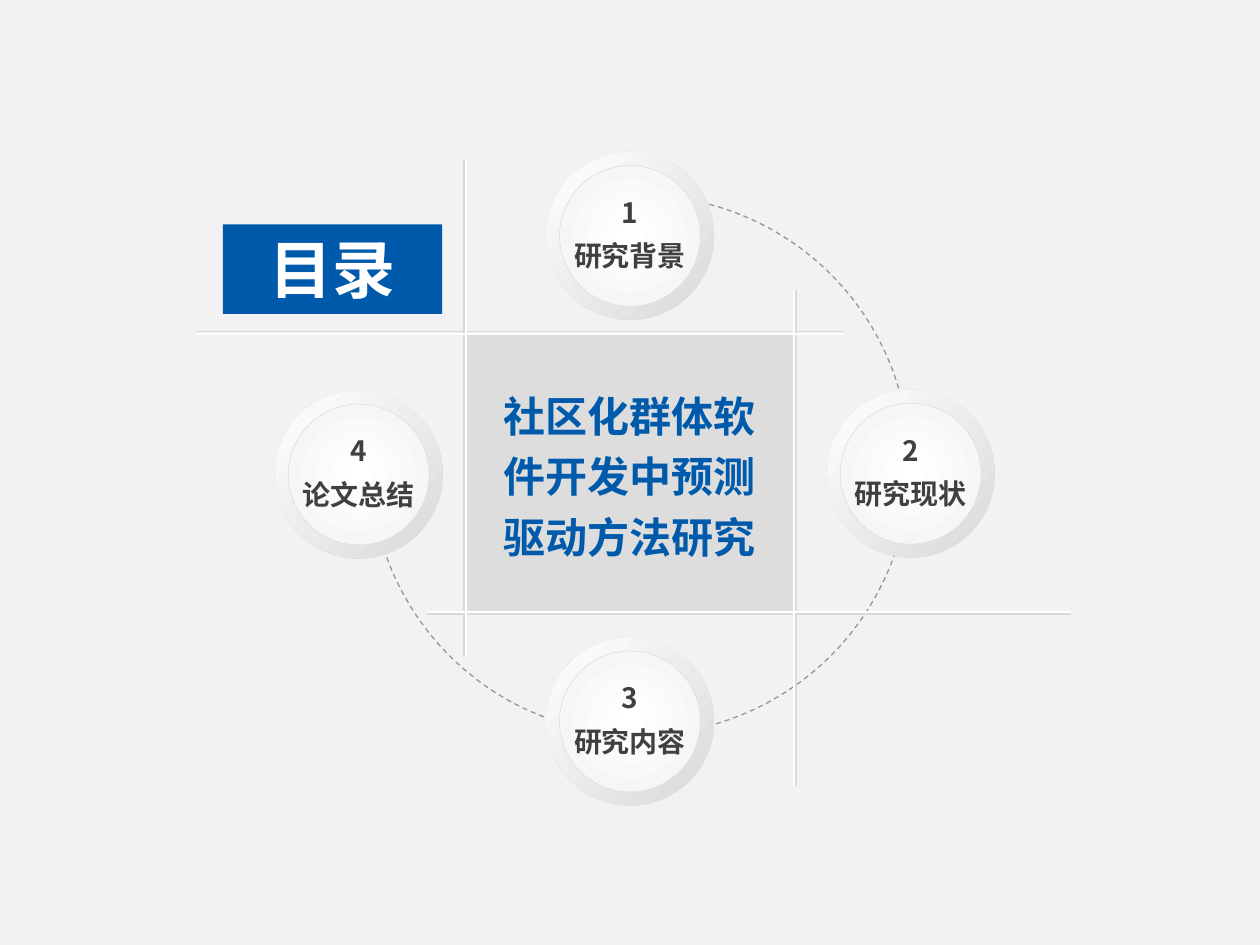
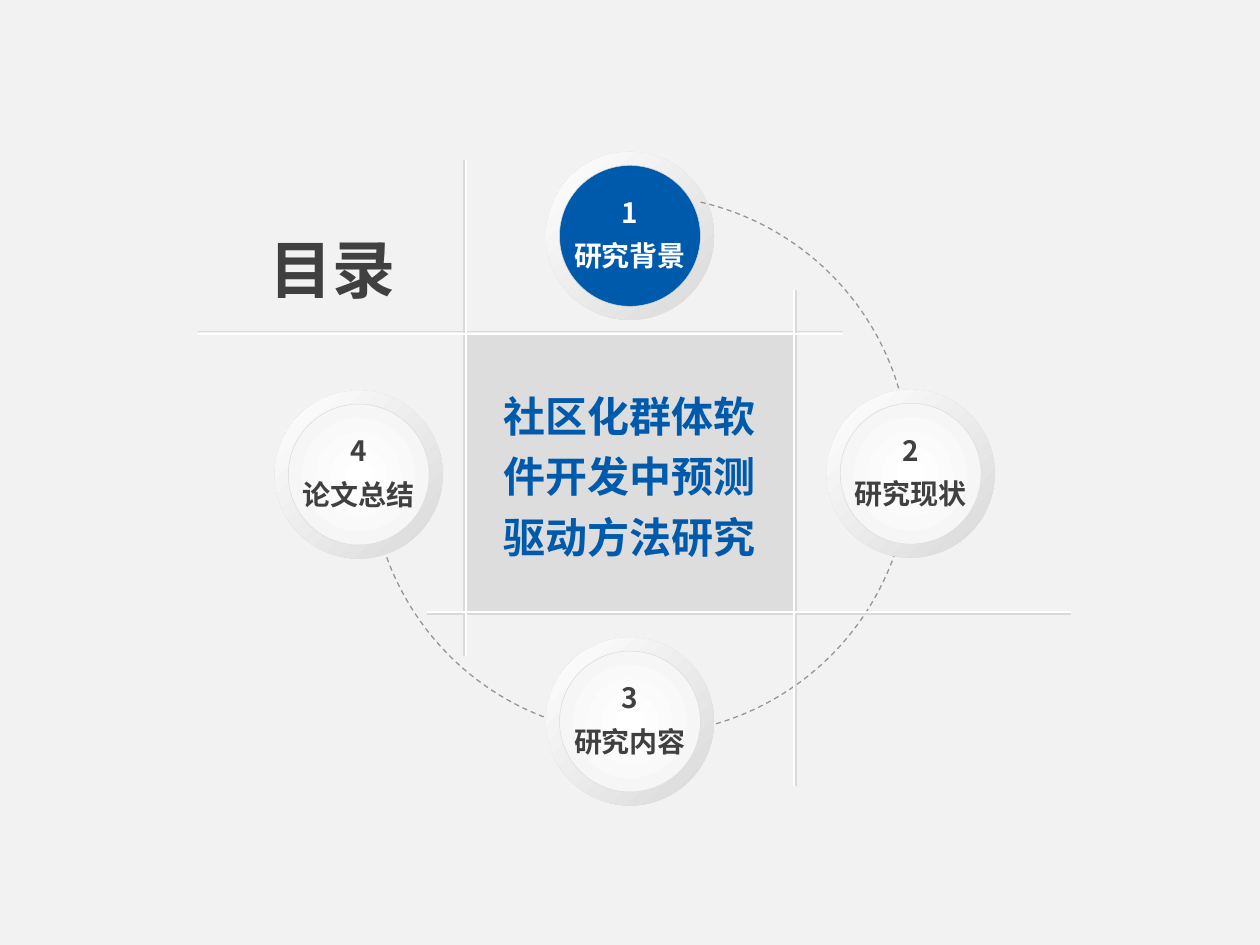
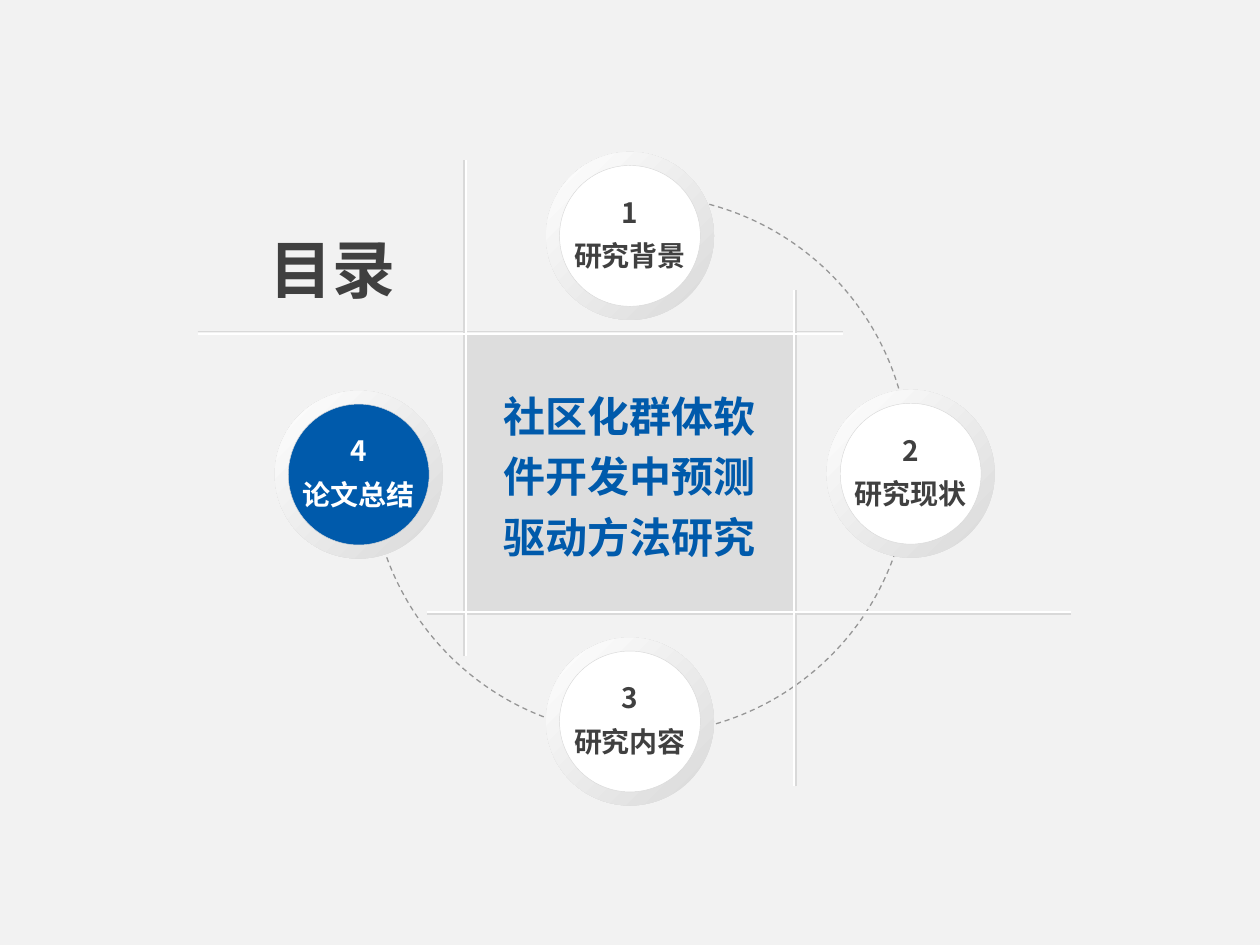
"""Build three agenda slides with a ring of four topics around the thesis title."""
import lxml.etree
import pptx
import pptx.dml.color
import pptx.enum.dml
import pptx.enum.shapes
import pptx.enum.text
import pptx.oxml
import pptx.oxml.ns
import pptx.util

Pt = pptx.util.Pt
SHAPES = pptx.enum.shapes.MSO_SHAPE

FONT = "Noto Sans CJK SC"
BLUE, WHITE, DARK = "005AAB", "FFFFFF", "404040"
PAPER, PANEL, RULE, DASH = "F2F2F2", "DDDDDD", "D9D9D9", "969696"

RING, INSET = 96, 7.75
LABEL_DROP, LABEL_HEIGHT = 15.5, 57.6
LEFT, TOP, RIGHT, BOTTOM = 266.4, 190.8, 453.6, 349.7
GROOVE = 1.3
HEADING_AREA = (127.4, 128.2, 125.3, 51.1)
TITLE_AREA = (277.9, 213.8, 163.4, 112.3)
ARC_AREA = (211.7, 111.6, 308.2, 308.2)
HEADING = "目录"
TITLE = "社区化群体软件开发中预测驱动方法研究"

# name, ring left, ring top, label width
TOPICS = {
    1: ("研究背景", 312, 86.8, 88),
    2: ("研究现状", 472.4, 222.7, 99.4),
    3: ("研究内容", 312, 364.3, 93.6),
    4: ("论文总结", 157, 223.2, 107.3),
}


def color(value):
    return pptx.dml.color.RGBColor.from_string(value)


class Agenda:
    """Holds the deck style and the slide being drawn."""

    def __init__(self):
        self.deck = pptx.Presentation()
        self.deck.slide_width, self.deck.slide_height = Pt(720), Pt(540)
        self.page = None

    def new_page(self):
        self.page = self.deck.slides.add_slide(self.deck.slide_layouts[6])
        background = self.page.background.fill
        background.solid()
        background.fore_color.rgb = color(PAPER)

    def shape(self, kind, area, fill=None, line=None, weight=0.25):
        shape = self.page.shapes.add_shape(kind, *map(Pt, area))
        shape.shadow.inherit = False
        if fill:
            shape.fill.solid()
            shape.fill.fore_color.rgb = color(fill)
        else:
            shape.fill.background()
        if line:
            shape.line.color.rgb = color(line)
            shape.line.width = Pt(weight)
        else:
            shape.line.fill.background()
        return shape

    def gradient(self, shape, start, end, radial=False):
        shape.fill.gradient()
        for stop, value in zip(shape.fill.gradient_stops, (start, end)):
            stop.color.rgb = color(value)
        shape.fill.gradient_angle = 135
        if radial:
            linear = shape.element.spPr.find(".//" + pptx.oxml.ns.qn("a:lin"))
            linear.getparent().replace(linear, pptx.oxml.parse_xml(
                f'<a:path {pptx.oxml.ns.nsdecls("a")} path="circle">'
                '<a:fillToRect l="50000" t="50000" r="50000" b="50000"/></a:path>'))

    def text(self, box, lines, size, ink, spacing=None):
        frame = box.text_frame
        frame.word_wrap = True
        frame.auto_size = pptx.enum.text.MSO_AUTO_SIZE.SHAPE_TO_FIT_TEXT
        frame.vertical_anchor = pptx.enum.text.MSO_ANCHOR.TOP
        for index, line in enumerate(lines):
            para = frame.add_paragraph() if index else frame.paragraphs[0]
            para.alignment = pptx.enum.text.PP_ALIGN.CENTER
            para.line_spacing = spacing
            span = para.add_run()
            span.text = line
            span.font.name, span.font.size, span.font.bold = FONT, Pt(size), True
            span.font.color.rgb = color(ink)
            east_asian = lxml.etree.SubElement(
                span.font._element, pptx.oxml.ns.qn("a:ea"))
            east_asian.set("typeface", FONT)

    def textbox(self, area, lines, size, ink, spacing=None):
        box = self.page.shapes.add_textbox(*map(Pt, area))
        self.text(box, lines, size, ink, spacing)

    def line(self, start, end, ink):
        connector = self.page.shapes.add_connector(
            pptx.enum.shapes.MSO_CONNECTOR.STRAIGHT, *map(Pt, start + end))
        connector.line.color.rgb = color(ink)
        connector.line.width = Pt(1)
        lxml.etree.SubElement(
            connector.element.spPr, pptx.oxml.ns.qn("a:effectLst"))

    def arc(self):
        arc = self.shape(SHAPES.ARC, ARC_AREA, line=DASH, weight=0.75)
        arc.adjustments[0], arc.adjustments[1] = 169.77, 98.73
        arc.line.dash_style = pptx.enum.dml.MSO_LINE.DASH

    def button(self, number, fill):
        _, left, top, _ = TOPICS[number]
        ring = self.shape(SHAPES.OVAL, (left, top, RING, RING))
        self.gradient(ring, RULE, WHITE)
        disc_size = RING - 2 * INSET
        disc = self.shape(
            SHAPES.OVAL, (left + INSET, top + INSET, disc_size, disc_size), fill, RULE)
        if not fill:
            self.gradient(disc, WHITE, PAPER, radial=True)

    def label(self, number, ink):
        name, left, top, width = TOPICS[number]
        area = (left + (RING - width) / 2, top + LABEL_DROP, width, LABEL_HEIGHT)
        self.textbox(area, (str(number), name), 16, ink, 1.3)

    def grooves(self):
        for ink, gap in ((RULE, GROOVE), (WHITE, 0)):
            for y, start, end in ((TOP - gap, 113, 481.7), (BOTTOM + gap, 244, 612)):
                self.line((start, y), (end, y), ink)
            for x, start, end in ((LEFT - gap, 375, 91.4), (RIGHT + gap, 449.3, 165.6)):
                self.line((x, start), (x, end), ink)

    def heading(self, active):
        if active:
            self.textbox(HEADING_AREA, (HEADING,), 36, DARK)
        else:
            banner = self.shape(SHAPES.RECTANGLE, HEADING_AREA, BLUE)
            self.text(banner, (HEADING,), 36, WHITE)

    def agenda(self, active=None, plain=None, under_arc=()):
        self.new_page()
        fills = {number: BLUE if number == active else plain for number in TOPICS}
        for number in under_arc:
            self.button(number, fills[number])
        self.arc()
        for number in TOPICS:
            if number not in under_arc:
                self.button(number, fills[number])
        self.shape(SHAPES.RECTANGLE, (LEFT, TOP, RIGHT - LEFT, BOTTOM - TOP), PANEL)
        self.heading(active)
        for number in TOPICS:
            self.label(number, WHITE if number == active else DARK)
        self.textbox(TITLE_AREA, (TITLE,), 24, BLUE, 1.2)
        self.grooves()


def main():
    agenda = Agenda()
    agenda.agenda()
    agenda.agenda(active=1, under_arc=(1,))
    agenda.agenda(active=4, plain=WHITE)
    agenda.deck.save("out.pptx")


if __name__ == "__main__":
    main()
